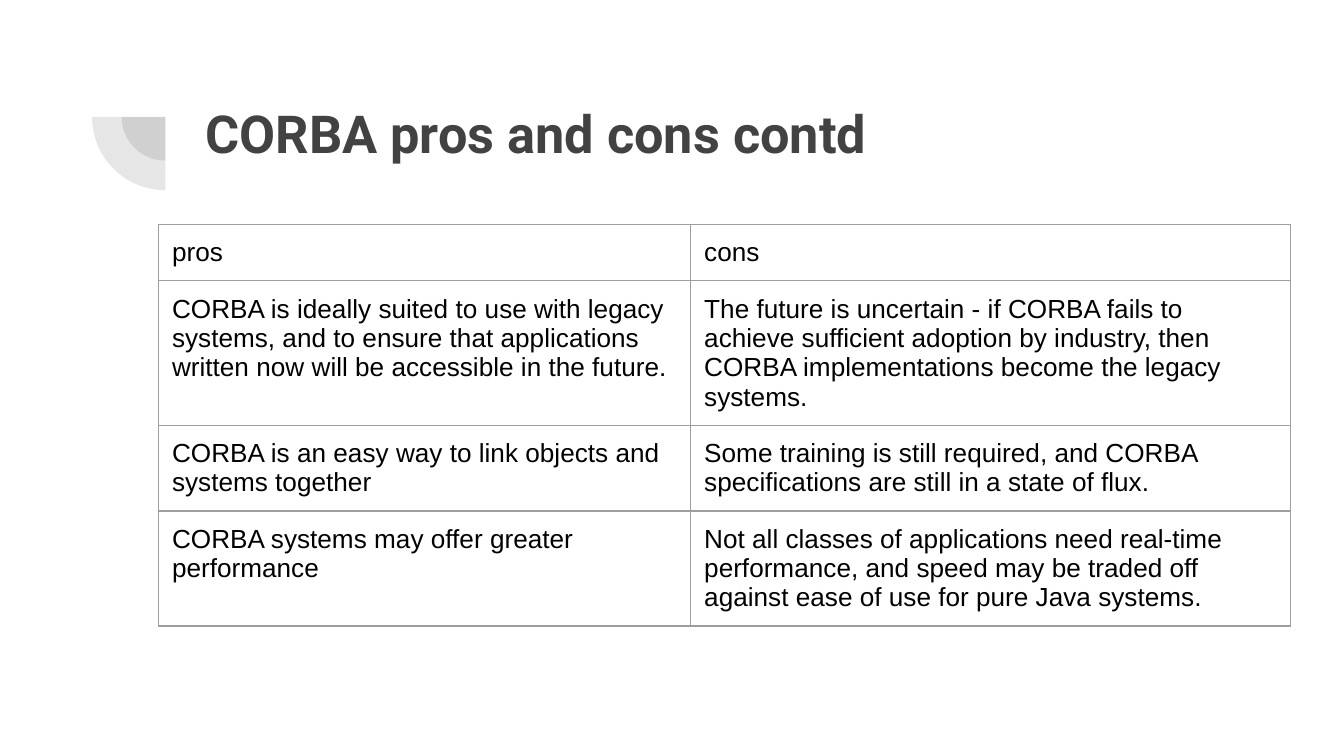
from lxml import etree
from pptx import Presentation
from pptx.dml.color import RGBColor
from pptx.enum.shapes import MSO_SHAPE
from pptx.enum.text import MSO_ANCHOR, PP_ALIGN
from pptx.oxml.ns import qn
from pptx.util import Inches, Pt

PIE = MSO_SHAPE.PIE
TOP = MSO_ANCHOR.TOP
LEFT = PP_ALIGN.LEFT

TITLE = "CORBA pros and cons contd"
ROWS = [
    ("pros", "cons"),
    ("CORBA is ideally suited to use with legacy systems, and to ensure that "
     "applications written now will be accessible in the future.",
     "The future is uncertain - if CORBA fails to achieve sufficient adoption "
     "by industry, then CORBA implementations become the legacy systems."),
    ("CORBA is an easy way to link objects and systems together",
     "Some training is still required, and CORBA specifications are still in "
     "a state of flux."),
    ("CORBA systems may offer greater performance",
     "Not all classes of applications need real-time performance, and speed "
     "may be traded off against ease of use for pure Java systems."),
]
WIDE = Inches(10)
HIGH = WIDE * 9 // 16
COLS = (3.96, 4.46)
ROW_H = 0.42
PIES = (0.65, 1.09)
HUB = (1.23, 0.87)
THEME = {
    "dark": "424242", "ink": "000000", "rule": "9E9E9E",
    "head": ("Roboto", 28), "body": ("Arial", 14),
    "pad": 0.1, "line": 0.75, "alpha": 13,
}


def style(frame, kind, color, bold):
    name, size = THEME[kind]
    for para in frame.paragraphs:
        para.alignment = LEFT
        for run in para.runs:
            font = run.font
            font.name, font.size, font.bold = name, Pt(size), bold
            font.color.rgb = RGBColor.from_string(THEME[color])


def pad(box):
    box.margin_left = box.margin_right = Inches(THEME["pad"])
    box.margin_top = box.margin_bottom = Inches(THEME["pad"])
    box.vertical_anchor = TOP


def add_pie(slide, size):
    left, top = (Inches(mid - size / 2) for mid in HUB)
    pie = slide.shapes.add_shape(PIE, left, top, Inches(size), Inches(size))
    pie.adjustments[0], pie.adjustments[1] = 108, 162
    pie.rotation = 270
    pie.shadow.inherit = False
    pie.line.fill.background()
    pie.fill.solid()
    pie.fill.fore_color.rgb = RGBColor.from_string(THEME["dark"])
    tint = pie.fill._xPr.find(".//" + qn("a:srgbClr"))
    etree.SubElement(tint, qn("a:alpha"), val=str(THEME["alpha"] * 1000))


def add_rules(cell):
    props = cell._tc.get_or_add_tcPr()
    for side in "LRTB":
        line = etree.SubElement(props, qn("a:ln" + side), w=str(Pt(THEME["line"])))
        fill = etree.SubElement(line, qn("a:solidFill"))
        etree.SubElement(fill, qn("a:srgbClr"), val=THEME["rule"])


def add_grid(slide):
    frame = slide.shapes.add_table(
        len(ROWS), len(COLS), Inches(1.18), Inches(1.67),
        Inches(sum(COLS)), Inches(ROW_H * len(ROWS)))
    table = frame.table
    table.first_row = table.horz_banding = False
    for col, width in zip(table.columns, COLS):
        col.width = Inches(width)
    for row, texts in zip(table.rows, ROWS):
        row.height = Inches(ROW_H)
        for cell, text in zip(row.cells, texts):
            cell.text_frame.text = text
            style(cell.text_frame, "body", "ink", False)
            pad(cell)
            add_rules(cell)
            cell.fill.background()


def main():
    deck = Presentation()
    deck.slide_width, deck.slide_height = WIDE, HIGH
    slide = deck.slides.add_slide(deck.slide_layouts[5])
    for size in PIES:
        add_pie(slide, size)
    title = slide.shapes.title
    title.left, title.top = Inches(1.43), Inches(0.65)
    title.width, title.height = Inches(7.69), Inches(1.09)
    title.text_frame.text = TITLE
    title.text_frame.word_wrap = True
    pad(title.text_frame)
    style(title.text_frame, "head", "dark", True)
    add_grid(slide)
    deck.save("out.pptx")


if __name__ == "__main__":
    main()
